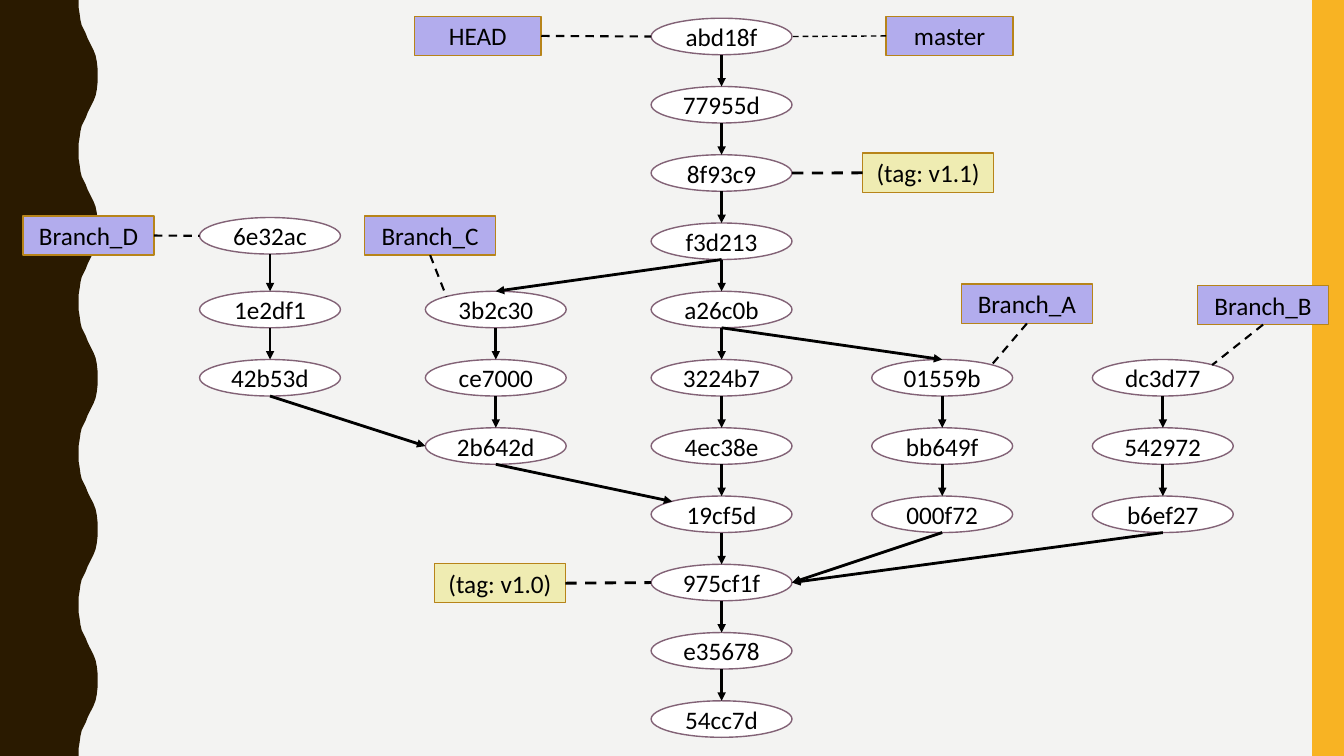
from lxml.etree import SubElement
from pptx import Presentation
from pptx.dml.color import RGBColor
from pptx.enum.dml import MSO_LINE_DASH_STYLE as Dash
from pptx.enum.shapes import MSO_CONNECTOR as Connector, MSO_SHAPE as Shape
from pptx.enum.text import MSO_ANCHOR as Anchor, PP_ALIGN as Align
from pptx.oxml.ns import qn
from pptx.util import Cm, Pt

BACKGROUND = RGBColor(0xF3, 0xF3, 0xF2)
BROWN = RGBColor(0x2A, 0x1A, 0x00)
ORANGE = RGBColor(0xF8, 0xB3, 0x23)
WHITE = RGBColor(0xFF, 0xFF, 0xFF)
BLACK = RGBColor(0x00, 0x00, 0x00)
PLUM = RGBColor(0x82, 0x62, 0x76)
GOLD = RGBColor(0xB7, 0x84, 0x1A)
LILAC = RGBColor(0xB2, 0xAC, 0xED)
YELLOW = RGBColor(0xEF, 0xEC, 0xB2)

PAGE_WIDTH, PAGE_HEIGHT = 33.87, 19.05
COMMIT_WIDTH, COMMIT_HEIGHT = 3.55, 0.92
FIRST_TOP, ROW_STEP = 0.46, 1.72
LABEL_HEIGHT = 0.99

FRAME_FORMAT = {"margin_left": 0, "margin_right": 0, "margin_top": 0,
                "margin_bottom": 0, "word_wrap": False,
                "vertical_anchor": Anchor.MIDDLE}
FONT_FORMAT = {"name": "Calibri", "size": Pt(18)}

# Half a period of the wavy edge: x and y in cm
HALF_WAVE = [(1.98, 0), (1.98, 0.18), (2.01, 0.36), (2.03, 0.51), (2.06, 0.64),
             (2.11, 0.74), (2.16, 0.84), (2.21, 0.97), (2.26, 1.07),
             (2.31, 1.17), (2.36, 1.27), (2.41, 1.4), (2.44, 1.55),
             (2.46, 1.73), (2.46, 1.9)]
WAVE_PERIOD, WAVE_COUNT = 3.81, 5

# Each branch: left edge, first row, commits from newest to oldest
BRANCHES = [
    (16.41, 0, ["abd18f", "77955d", "8f93c9", "f3d213", "a26c0b", "3224b7",
                "4ec38e", "19cf5d", "975cf1f", "e35678", "54cc7d"]),
    (10.72, 4, ["3b2c30", "ce7000", "2b642d"]),
    (5.03, 4, ["1e2df1", "42b53d"]),
    (5.03, 2.92, ["6e32ac"]),
    (21.97, 5, ["01559b", "bb649f", "000f72"]),
    (27.53, 5, ["dc3d77", "542972", "b6ef27"]),
]
# Arrows between branches: start, side, end, side
CROSSINGS = [
    ("6e32ac", "bottom", "1e2df1", "top"),
    ("2b642d", "bottom", "19cf5d", "top left"),
    ("42b53d", "bottom", "2b642d", "left"),
    ("000f72", "bottom", "975cf1f", "right"),
    ("b6ef27", "bottom", "975cf1f", "right"),
    ("f3d213", "bottom", "3b2c30", "top"),
    ("a26c0b", "bottom", "01559b", "top"),
]
# Labels: text, left, top, width, fill, side, commit, its side, line width
LABELS = [
    ("HEAD", 10.44, 0.41, 3.2, LILAC, "right", "abd18f", "left", 1.5),
    ("master", 22.33, 0.41, 3.2, LILAC, "left", "abd18f", "right", 1),
    ("Branch_A", 24.23, 7.16, 3.3, LILAC, "bottom", "01559b", "top right", 1.5),
    ("Branch_B", 30.18, 7.19, 3.3, LILAC, "bottom", "dc3d77", "top right", 1.5),
    ("Branch_C", 9.19, 5.44, 3.3, LILAC, "bottom", "3b2c30", "top left", 1.5),
    ("Branch_D", 0.58, 5.44, 3.3, LILAC, "right", "6e32ac", "left", 1.5),
    ("(tag: v1.0)", 10.95, 14.2, 3.3, YELLOW, "right", "975cf1f", "left", 2),
    ("(tag: v1.1)", 21.74, 3.86, 3.3, YELLOW, "left", "8f93c9", "right", 2),
]
# Connection sites: share of width and height, index on ellipse and on rectangle
SITES = {
    "top": (0.5, 0, 0, 0),
    "top left": (0.15, 0.15, 1, None),
    "left": (0, 0.5, 2, 1),
    "bottom": (0.5, 1, 4, 2),
    "right": (1, 0.5, 6, 3),
    "top right": (0.85, 0.15, 7, None),
}


def set_all(target, values):
    for name, value in values.items():
        setattr(target, name, value)


def paint(shape, fill, outline=None):
    shape.shadow.inherit = False
    shape.fill.solid()
    shape.fill.fore_color.rgb = fill
    if outline is None:
        shape.line.fill.background()
    else:
        shape.line.color.rgb = outline
        shape.line.width = Pt(1)


def add_box(page, kind, place, fill, outline, text):
    box = page.shapes.add_shape(kind, *[Cm(length) for length in place])
    paint(box, fill, outline)
    set_all(box.text_frame, FRAME_FORMAT)
    para = box.text_frame.paragraphs[0]
    para.alignment = Align.CENTER
    span = para.add_run()
    span.text = text
    set_all(span.font, FONT_FORMAT)
    span.font.color.rgb = BLACK
    return box


def find_site(box, side):
    across, down, on_ellipse, on_rectangle = SITES[side]
    index = on_ellipse if box.auto_shape_type == Shape.OVAL else on_rectangle
    point = (int(box.left + across * box.width), int(box.top + down * box.height))
    return point, index


def add_link(page, start, start_side, end, end_side, width=2, dashed=False):
    start_point, start_index = find_site(start, start_side)
    end_point, end_index = find_site(end, end_side)
    link = page.shapes.add_connector(Connector.STRAIGHT, *start_point, *end_point)
    link.line.color.rgb = BLACK
    link.line.width = Pt(width)
    # Glue both ends to their shapes
    joints = link.element.find(".//" + qn("p:cNvCxnSpPr"))
    for tag, box, index in (("a:stCxn", start, start_index),
                            ("a:endCxn", end, end_index)):
        SubElement(joints, qn(tag), id=str(box.shape_id), idx=str(index))
    if dashed:
        link.line.dash_style = Dash.DASH
    else:
        SubElement(link.get_or_add_ln(), qn("a:tailEnd"), type="triangle")
    SubElement(link.element.spPr, qn("a:effectLst"))


def add_decoration(page):
    page.background.fill.solid()
    page.background.fill.fore_color.rgb = BACKGROUND
    # Wavy band on the left
    period = HALF_WAVE + [(x, WAVE_PERIOD - y) for x, y in HALF_WAVE[-2::-1]]
    edge = [(Cm(x), Cm(y + WAVE_PERIOD * turn))
            for turn in range(WAVE_COUNT) for x, y in period]
    outline = page.shapes.build_freeform(0, 0)
    outline.add_line_segments(edge + [(0, Cm(PAGE_HEIGHT))], close=True)
    paint(outline.convert_to_shape(), BROWN)
    # Plain strip on the right
    strip = page.shapes.add_shape(Shape.RECTANGLE, Cm(33.07), 0,
                                  Cm(0.8), Cm(PAGE_HEIGHT))
    paint(strip, ORANGE)


def add_commits(page):
    commits = {}
    for left, first_row, names in BRANCHES:
        for step, name in enumerate(names):
            top = FIRST_TOP + ROW_STEP * (first_row + step)
            place = (left, top, COMMIT_WIDTH, COMMIT_HEIGHT)
            commits[name] = add_box(page, Shape.OVAL, place, WHITE, PLUM, name)
    return commits


def add_arrows(page, commits):
    for _, _, names in BRANCHES:
        for child, parent in zip(names, names[1:]):
            add_link(page, commits[child], "bottom", commits[parent], "top")
    for child, child_side, parent, parent_side in CROSSINGS:
        add_link(page, commits[child], child_side, commits[parent], parent_side)


def add_labels(page, commits):
    for text, left, top, width, fill, side, commit, commit_side, weight in LABELS:
        place = (left, top, width, LABEL_HEIGHT)
        label = add_box(page, Shape.RECTANGLE, place, fill, GOLD, text)
        add_link(page, label, side, commits[commit], commit_side, weight, dashed=True)


def main():
    deck = Presentation()
    deck.slide_width, deck.slide_height = Cm(PAGE_WIDTH), Cm(PAGE_HEIGHT)
    page = deck.slides.add_slide(deck.slide_layouts[6])
    add_decoration(page)
    commits = add_commits(page)
    add_arrows(page, commits)
    add_labels(page, commits)
    deck.save("out.pptx")


if __name__ == "__main__":
    main()
